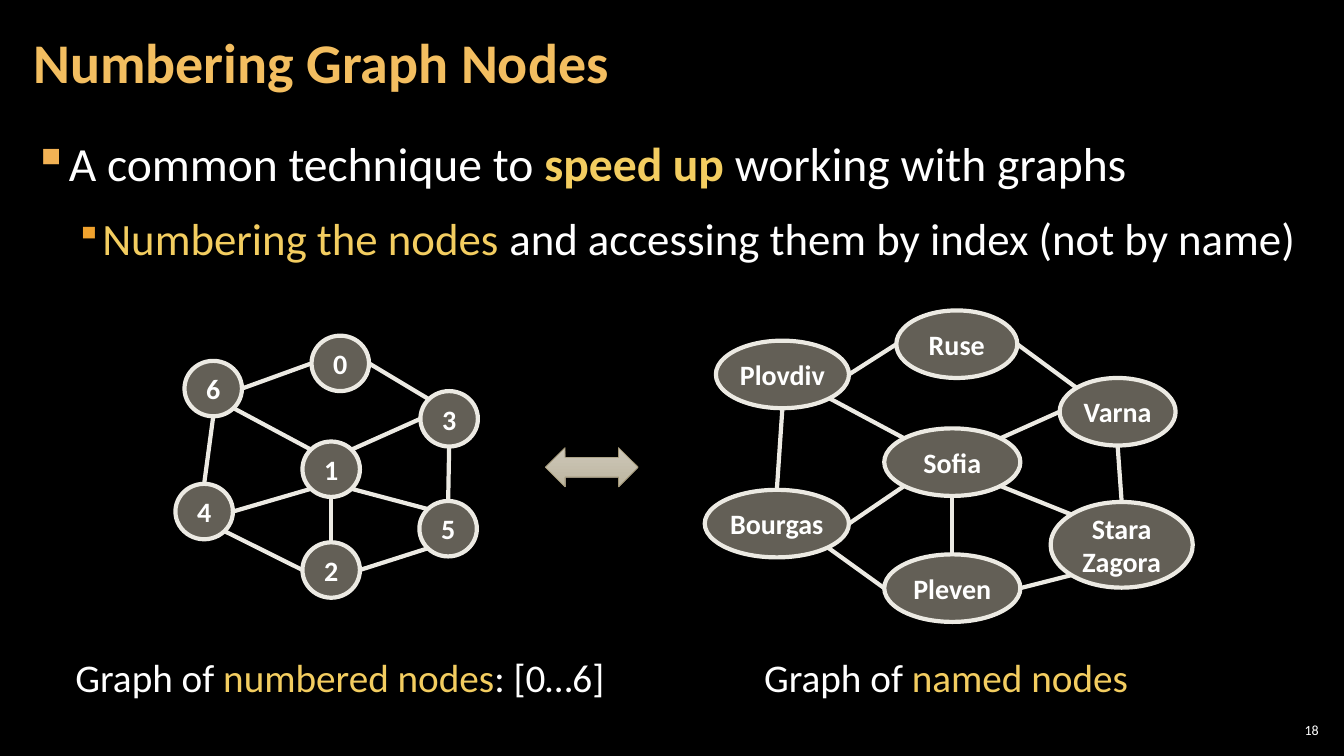
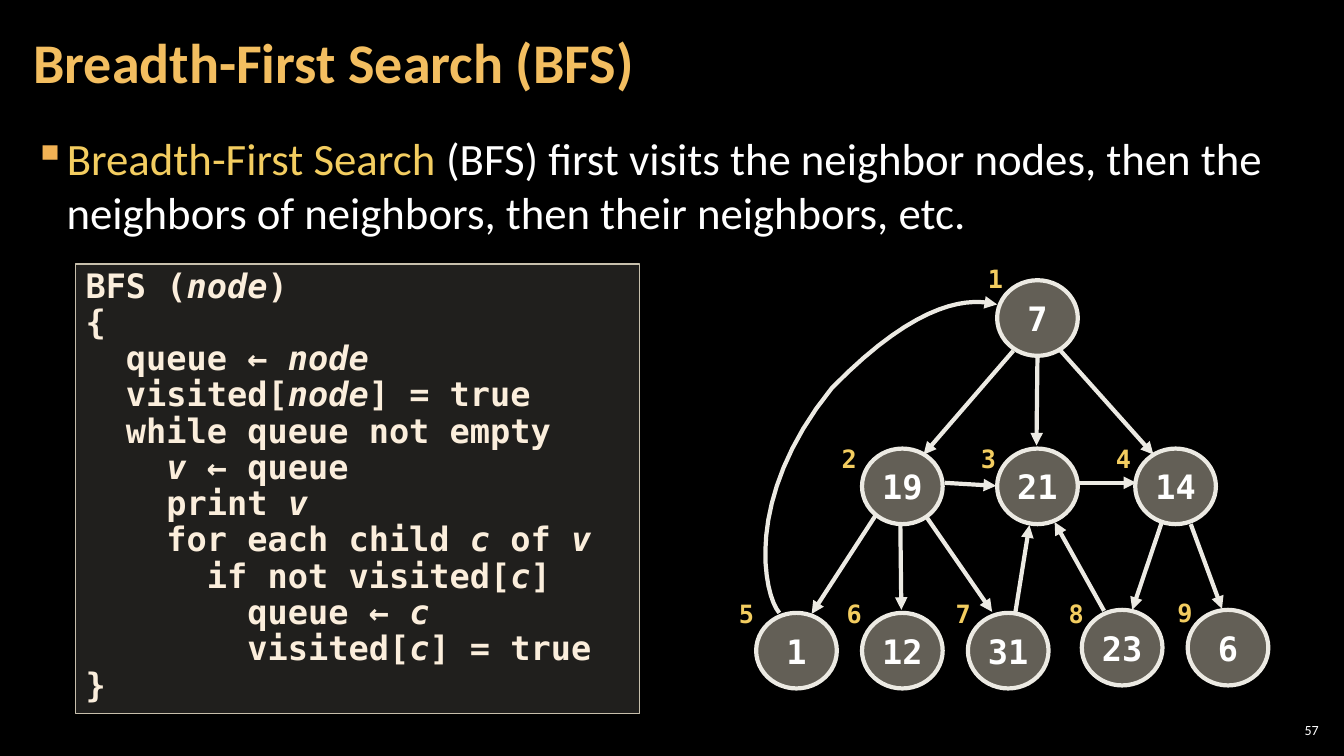
"""Builds two slides on numbering graph nodes and breadth-first search."""
from math import cos, radians, sin

from lxml import etree
from pptx import Presentation
from pptx.dml.color import RGBColor
from pptx.enum.shapes import MSO_CONNECTOR, MSO_SHAPE
from pptx.enum.text import MSO_ANCHOR, PP_ALIGN
from pptx.oxml.ns import qn
from pptx.util import Inches, Pt

STRAIGHT = MSO_CONNECTOR.STRAIGHT
ELLIPSE = MSO_SHAPE.OVAL
RECT = MSO_SHAPE.RECTANGLE
DOUBLE_ARROW = MSO_SHAPE.LEFT_RIGHT_ARROW
TOP, MIDDLE = MSO_ANCHOR.TOP, MSO_ANCHOR.MIDDLE
LEFT, CENTER, RIGHT = PP_ALIGN.LEFT, PP_ALIGN.CENTER, PP_ALIGN.RIGHT

SANS, MONO = "Calibri", "DejaVu Sans Mono"
BLACK, WHITE = "000000", "FFFFFF"
TITLE, ACCENT = "F3BE60", "F3CD60"
SAND, PALE = "C7BFAC", "ECEAE3"
BULLETS = [("F2B254", 100, 0.33, 0.33), ("F0A22E", 80, 0.67, 0.25)]
DEFAULT_INSETS = (0.1, 0.05)
PLACEHOLDER_INSETS = (0.12, 0.04)

ANGLES = {"E": 0, "SE": 45, "S": 90, "SW": 135,
          "W": 180, "NW": 225, "N": 270, "NE": 315}

EDGES = [
    (0, "W", 6, "E"), (0, "E", 3, "NW"), (3, "S", 5, "N"),
    (6, "SE", 1, "NW"), (6, "S", 4, "N"), (4, "SE", 2, "W"),
    (3, "W", 1, "NE"), (1, "S", 2, "N"), (5, "SW", 2, "E"),
    (4, "E", 1, "SW"), (1, "SE", 5, "NW"),
]

NUMBERED = [(3.09, 3.33), (3, 4.38), (3, 5.38), (4.17, 3.88),
            (1.74, 4.8), (4.16, 4.97), (1.83, 3.58)]

CITIES = [
    ("Ruse", (8.89, 3.08, 1.2, 0.67)),
    ("Sofia", (8.77, 4.25, 1.35, 0.67)),
    ("Pleven", (8.77, 5.5, 1.35, 0.67)),
    ("Varna", (10.51, 3.75, 1.15, 0.67)),
    ("Bourgas", (6.99, 4.86, 1.43, 0.67)),
    ("Stara Zagora", (10.42, 4.98, 1.41, 0.85)),
    ("Plovdiv", (7.1, 3.38, 1.32, 0.67)),
]

CODE = [
    "BFS (*node*)",
    "{",
    "  queue ← *node*",
    "  visited[*node*] = true",
    "  while queue not empty",
    "    *v *← queue",
    "    print *v*",
    "    for each child *c* of *v*",
    "      if not visited[*c*]",
    "        queue ← *c*",
    "        visited[*c*] = true",
    "}",
]

TREE_NODES = [
    ("7", 9.89, 2.78), ("19", 8.55, 4.45), ("21", 9.89, 4.45),
    ("14", 11.26, 4.45), ("1", 7.5, 6.08), ("12", 8.55, 6.08),
    ("31", 9.6, 6.08), ("23", 10.73, 6.05), ("6", 11.78, 6.05),
]

VISIT_ORDER = [
    (9.7, 2.56), (8.25, 4.35), (9.63, 4.35), (10.97, 4.35), (7.23, 5.89),
    (8.3, 5.89), (9.38, 5.89), (10.5, 5.89), (11.58, 5.88),
]

TREE_ARROWS = [
    ((10.05, 3.48), (9.16, 4.51)), ((10.29, 3.53), (10.28, 4.42)),
    ((10.52, 3.48), (11.44, 4.51)), ((9.37, 4.79), (9.88, 4.82)),
    ((10.7, 4.79), (11.27, 4.79)), ((8.68, 5.12), (8.05, 6.09)),
    ((8.93, 5.22), (8.94, 6.05)), ((9.19, 5.13), (9.84, 6.07)),
    ((10.07, 6.08), (10.21, 5.21)), ((10.95, 6.06), (10.46, 5.18)),
    ((11.52, 5.19), (11.23, 6.05)), ((11.81, 5.2), (12.12, 6.04)),
]

BACK_CURVE = [
    ((7.73, 6.08), (7.58, 5.91), (7.36, 4.95), (8.25, 3.85)),
    ((8.25, 3.85), (9.14, 2.94), (9.64, 2.96), (9.89, 3.02)),
]


def rgb(color):
    """Turn a hex string into a colour."""
    return RGBColor.from_string(color)


def set_line(line, color, width):
    """Give a line its colour and width in points."""
    line.color.rgb = rgb(color)
    line.width = Pt(width)


def add_arrowhead(s):
    """Put a triangle at the end of a line."""
    etree.SubElement(s._element.spPr.find(qn("a:ln")), qn("a:tailEnd"), type="triangle")


def add_run(p, text, size, color, font=SANS, bold=False, italic=None):
    """Append one formatted run to a paragraph."""
    r = p.add_run()
    r.text = text
    r.font.name, r.font.size = font, Pt(size)
    r.font.bold, r.font.italic = bold, italic
    r.font.color.rgb = rgb(color)


def set_frame(s, insets=DEFAULT_INSETS, anchor=TOP, wrap=True):
    """Set insets, anchor and wrapping, and return the text frame."""
    tf = s.text_frame
    tf.margin_left = tf.margin_right = Inches(insets[0])
    tf.margin_top = tf.margin_bottom = Inches(insets[1])
    tf.vertical_anchor, tf.word_wrap = anchor, wrap
    return tf


def add_text(slide, box, runs, size, font=SANS, align=LEFT, spacing=1.0, **frame):
    """Add a one-paragraph text box from (text, colour, bold) runs."""
    s = slide.shapes.add_textbox(*map(Inches, box))
    p = set_frame(s, **frame).paragraphs[0]
    p.alignment, p.line_spacing = align, spacing
    for text, color, bold in runs:
        add_run(p, text, size, color, font, bold)


def add_shape(slide, kind, box, fill, alpha, line, width):
    """Add a preset shape with a translucent fill."""
    s = slide.shapes.add_shape(kind, *map(Inches, box))
    s.shadow.inherit = False
    s.fill.solid()
    s.fill.fore_color.rgb = rgb(fill)
    color = s._element.spPr.find(qn("a:solidFill"))[0]
    etree.SubElement(color, qn("a:alpha"), val=str(alpha * 1000))
    set_line(s.line, line, width)
    return s


def add_node(slide, label, box, size=20, font=SANS):
    """Add a labelled graph node."""
    s = add_shape(slide, ELLIPSE, box, SAND, 50, PALE, 3)
    tf = set_frame(s, (0.04, 0.05), MIDDLE, " " in label)
    p = tf.paragraphs[0]
    p.alignment = CENTER
    add_run(p, label, size, WHITE, font, True)


def add_edge(slide, start, end, arrow=False):
    """Add a straight edge between two points."""
    s = slide.shapes.add_connector(STRAIGHT, *map(Inches, start + end))
    set_line(s.line, PALE, 3)
    if arrow:
        add_arrowhead(s)
    etree.SubElement(s._element.spPr, qn("a:effectLst"))


def rim_point(box, side):
    """Find the point of an ellipse at a compass side."""
    x, y, w, h = box
    angle = radians(ANGLES[side])
    return x + w / 2 * (1 + cos(angle)), y + h / 2 * (1 + sin(angle))


def add_graph(slide, nodes):
    """Draw labelled nodes joined by the shared edges."""
    for a, side_a, b, side_b in EDGES:
        add_edge(slide, rim_point(nodes[a][1], side_a), rim_point(nodes[b][1], side_b))
    for label, box in nodes:
        add_node(slide, label, box)


def bezier(a, b, c, d, steps=16):
    """Sample a cubic curve after its start point."""
    for i in range(1, steps + 1):
        t = i / steps
        u = 1 - t
        yield tuple(Inches(u**3 * k + 3 * u * u * t * m + 3 * u * t * t * n + t**3 * o)
                    for k, m, n, o in zip(a, b, c, d))


def add_curve(slide, curves):
    """Add an open curved arrow from cubic segments."""
    start = map(Inches, curves[0][0])
    builder = slide.shapes.build_freeform(*start)
    points = [point for curve in curves for point in bezier(*curve)]
    builder.add_line_segments(points, close=False)
    s = builder.convert_to_shape()
    s.shadow.inherit = False
    s.fill.background()
    set_line(s.line, PALE, 3)
    add_arrowhead(s)


def add_bullets(slide, items, spacing):
    """Add the body text, one level deeper for each paragraph."""
    s = slide.shapes.add_textbox(*map(Inches, (0.21, 1.26, 12.91, 6.09)))
    tf = set_frame(s, PLACEHOLDER_INSETS)
    for level, (size, runs) in enumerate(items):
        p = tf.add_paragraph() if level else tf.paragraphs[0]
        color, scale, margin, hang = BULLETS[level]
        pPr = p._p.get_or_add_pPr()
        pPr.set("marL", str(Inches(margin)))
        pPr.set("indent", str(-Inches(hang)))
        bu = etree.SubElement(pPr, qn("a:buClr"))
        etree.SubElement(bu, qn("a:srgbClr"), val=color)
        etree.SubElement(pPr, qn("a:buSzPct"), val=str(scale * 1000))
        etree.SubElement(pPr, qn("a:buChar"), char="▪")
        p.level, p.line_spacing = level, spacing
        p.space_before, p.space_after = Pt(6 if level else 0), Pt(6)
        for text, run_color, bold in runs:
            add_run(p, text, size, run_color, bold=bold)


def add_code(slide, box, lines):
    """Add a code box, with text between asterisks in italics."""
    s = add_shape(slide, RECT, box, "D9D5C7", 15, SAND, 1)
    tf = set_frame(s)
    for i, line in enumerate(lines):
        p = tf.add_paragraph() if i else tf.paragraphs[0]
        p.alignment, p.line_spacing = LEFT, 0.9
        for j, part in enumerate(line.split("*")):
            if part:
                add_run(p, part, 24, "FBEEDC", MONO, True, j % 2 == 1)


def add_double_arrow(slide, box):
    """Add the gradient arrow between the two graphs."""
    s = slide.shapes.add_shape(DOUBLE_ARROW, *map(Inches, box))
    s.shadow.inherit = False
    s.fill.gradient()
    s.fill.gradient_angle = 270
    for stop, color in zip(s.fill.gradient_stops, ("CDC7B9", "BDB59F")):
        stop.color.rgb = rgb(color)
    set_line(s.line, "A19574", 0.5)


def new_slide(prs, title, number):
    """Add a black slide with its title and number."""
    slide = prs.slides.add_slide(prs.slide_layouts[6])
    slide.background.fill.solid()
    slide.background.fill.fore_color.rgb = rgb(BLACK)
    add_text(slide, (0.21, 0.04, 10.47, 1.21), [(title, TITLE, True)], 40,
             spacing=0.9, insets=PLACEHOLDER_INSETS, anchor=MIDDLE)
    add_text(slide, (12.65, 7.14, 0.47, 0.21), [(number, WHITE, False)], 10,
             align=RIGHT, insets=(0.04, 0.04), anchor=MIDDLE)
    return slide


def build_numbering(prs):
    """Build the slide on numbered and named nodes."""
    slide = new_slide(prs, "Numbering Graph Nodes", "18")
    add_bullets(slide, [
        (34, [("A common technique to ", WHITE, False), ("speed up ", ACCENT, True),
              ("working with graphs", WHITE, False)]),
        (32, [("Numbering the nodes ", ACCENT, False),
              ("and accessing them by index (not by name)", WHITE, False)]),
    ], 1.05)
    add_graph(slide, [(str(i), (x, y, 0.57, 0.55)) for i, (x, y) in enumerate(NUMBERED)])
    add_graph(slide, CITIES)
    add_double_arrow(slide, (5.41, 4.44, 0.92, 0.39))
    add_text(slide, (0.65, 6.43, 5.51, 0.57),
             [("Graph of ", WHITE, False), ("numbered nodes", ACCENT, False),
              (": [0…6]", WHITE, False)], 28, wrap=False)
    add_text(slide, (7.48, 6.43, 3.85, 0.57),
             [("Graph of ", WHITE, False), ("named nodes", ACCENT, False)], 28, wrap=False)


def build_bfs(prs):
    """Build the slide on breadth-first search."""
    slide = new_slide(prs, "Breadth-First Search (BFS)", "57")
    add_bullets(slide, [(32, [
        ("Breadth-First Search ", ACCENT, False),
        ("(BFS) first visits the neighbor nodes, then the neighbors of neighbors, "
         "then their neighbors, etc.", WHITE, False)])], 1.0)
    add_code(slide, (0.75, 2.62, 5.59, 4.46), CODE)
    for label, x, y in TREE_NODES:
        add_node(slide, label, (x, y, 0.8, 0.75), 24, MONO)
    for start, end in TREE_ARROWS:
        add_edge(slide, start, end, True)
    add_curve(slide, BACK_CURVE)
    for order, (x, y) in enumerate(VISIT_ORDER, 1):
        add_text(slide, (x, y, 0.34, 0.42), [(str(order), ACCENT, True)], 18, MONO, wrap=False)


def main():
    """Build and save the presentation."""
    prs = Presentation()
    prs.slide_width, prs.slide_height = Inches(13.33), Inches(7.5)
    build_numbering(prs)
    build_bfs(prs)
    prs.save("out.pptx")


if __name__ == "__main__":
    main()
